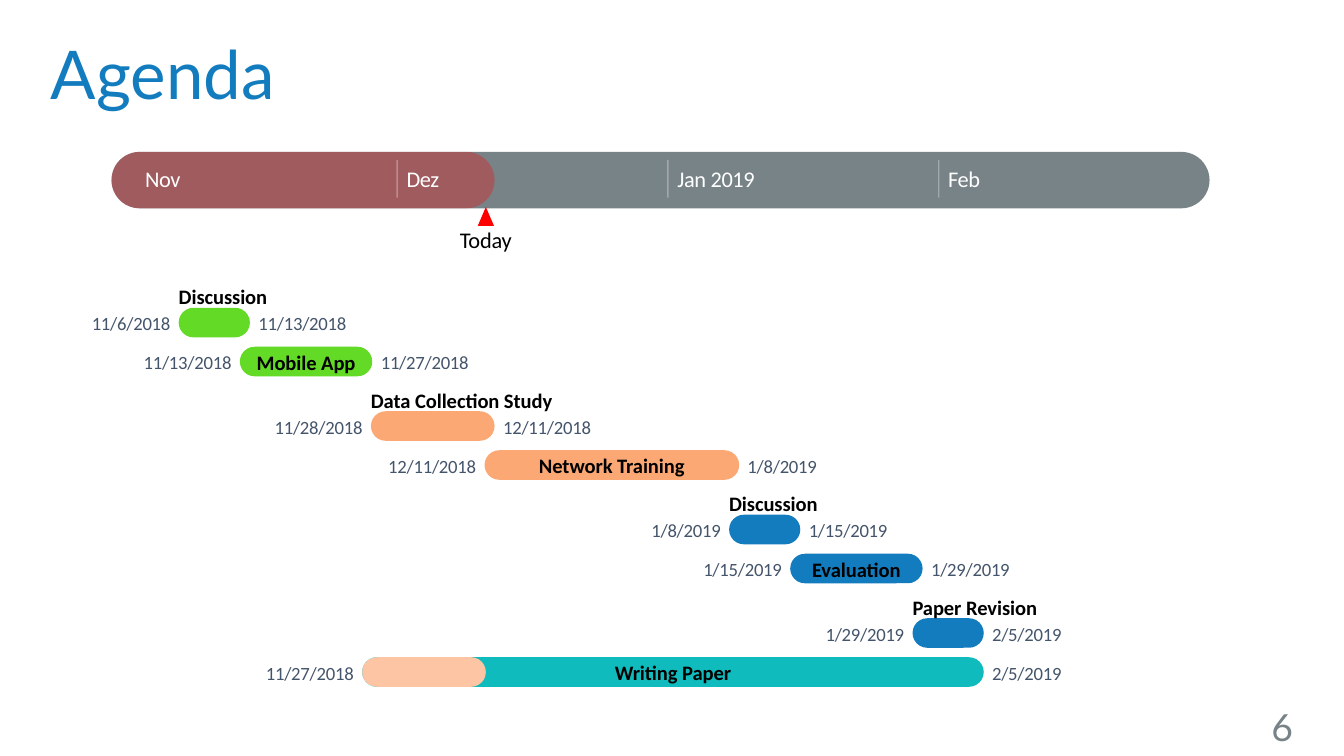
from lxml import etree
from pptx import Presentation
from pptx import util as u
from pptx.dml.color import RGBColor
from pptx.enum import shapes, text
from pptx.oxml.ns import qn

C = {"blue": "137CBE", "grey": "788388", "red": "FF0000", "white": "FFFFFF",
     "black": "000000", "date": "44546A", "green": "62DA26",
     "orange": "FBA875", "teal": "10BBBE", "peach": "FDC5A3"}
ALIGN = text.PP_ALIGN
PILL = shapes.MSO_SHAPE.ROUNDED_RECTANGLE
DAY = 0.065                 # inches per day
FIRST_X = 1.33              # left edge of 6 November
MONTH_START = {11: -5, 12: 25, 1: 56, 2: 87}
BAR_H, GAP = 0.22, 0.05

# name, name width, start, end, colour
TASKS = [
    ("Discussion", 0.67, "11/6/2018", "11/13/2018", "green"),
    ("Mobile App", 0.81, "11/13/2018", "11/27/2018", "green"),
    ("Data Collection Study", 1.36, "11/28/2018", "12/11/2018", "orange"),
    ("Network Training", 1.1, "12/11/2018", "1/8/2019", "orange"),
    ("Discussion", 0.67, "1/8/2019", "1/15/2019", "blue"),
    ("Evaluation", 0.67, "1/15/2019", "1/29/2019", "blue"),
    ("Paper Revision", 0.94, "1/29/2019", "2/5/2019", "blue"),
    ("Writing Paper", 0.88, "11/27/2018", "2/5/2019", "teal"),
]


def date_x(date):
    """Horizontal position of the start of a month/day/year date."""
    month, day = [int(n) for n in date.split("/")[:2]]
    return FIRST_X + DAY * (MONTH_START[month] + day - 1)


def set_alpha(fill_parent, percent):
    """Make the solid colour below an element partly transparent."""
    clr = next(fill_parent.iter(qn("a:srgbClr")))
    etree.SubElement(clr, qn("a:alpha")).set("val", str(percent * 1000))


def add_shape(s, kind, x, y, w, h, color, alpha=None):
    """Add a filled shape without outline; pills get fully round ends."""
    sp = s.shapes.add_shape(kind, *map(u.Inches, (x, y, w, h)))
    sp.shadow.inherit = False
    sp.fill.solid()
    sp.fill.fore_color.rgb = RGBColor.from_string(C[color])
    sp.line.fill.background()
    if kind == PILL:
        sp.adjustments[0] = 0.5
    if alpha:
        set_alpha(sp._element.spPr, alpha)


def add_text(s, txt, x, y, w, h, size, color, align=ALIGN.LEFT, font="Calibri",
             bold=False, wrap=True, inset=False, anchor=text.MSO_ANCHOR.MIDDLE,
             spacing=0):
    """Add a one-line text box; spacing is in hundredths of a point."""
    tf = s.shapes.add_textbox(*map(u.Inches, (x, y, w, h))).text_frame
    tf.word_wrap = wrap
    tf.vertical_anchor = anchor
    if not inset:
        tf.margin_left = tf.margin_right = tf.margin_top = tf.margin_bottom = 0
    p = tf.paragraphs[0]
    p.alignment = align
    r = p.add_run()
    r.text = txt
    p.font.size, p.font.name, p.font.bold = u.Pt(size), font, bold
    p.font.color.rgb = RGBColor.from_string(C[color])
    if spacing:
        r._r.get_or_add_rPr().set("spc", str(spacing))


def add_divider(s, x):
    """Add a faint month divider on the time band."""
    ln = s.shapes.add_connector(shapes.MSO_CONNECTOR.STRAIGHT, u.Inches(x),
                                u.Inches(1.19), u.Inches(x), u.Inches(1.47))
    ln.line.width = u.Pt(0.75)
    ln.line.color.rgb = RGBColor.from_string(C["white"])
    set_alpha(ln._element.spPr, 30)
    etree.SubElement(ln._element.spPr, qn("a:effectLst"))


def add_band(s):
    """Add the month band, its elapsed part and the marker for today."""
    add_shape(s, PILL, 0.83, 1.13, 8.17, 0.42, "grey")
    add_shape(s, PILL, 0.83, 1.13, 2.85, 0.42, "red", 30)
    today = date_x("12/11/2018") + 0.01
    add_shape(s, shapes.MSO_SHAPE.ISOSCELES_TRIANGLE, today - 0.06, 1.54,
              0.12, 0.14, "red")
    add_text(s, "Today", today - 0.21, 1.68, 0.42, 0.2, 12, "black",
             ALIGN.CENTER, spacing=-10)
    months = [("Nov", 1.01, 0.27), ("Dez", date_x("12/1/2018"), 0.25),
              ("Jan 2019", date_x("1/1/2019"), 0.62),
              ("Feb", date_x("2/1/2019"), 0.24)]
    for i, (name, x, w) in enumerate(months):
        if i:
            add_divider(s, x)
        add_text(s, name, x + 0.07, 1.23, w, 0.2, 12, "white", wrap=False,
                 spacing=-20)


def add_date(s, date, y, left=None, right=None):
    """Add a date that starts at left or ends at right."""
    w = 0.07 * len(date) - 0.02
    x = left if left is not None else right - w
    add_text(s, date, x, y, w, 0.17, 10, "date", ALIGN.CENTER, spacing=-10)


def add_task(s, i, name, name_w, start, end, color):
    """Add a task bar with dates; names alternate above and inside."""
    y = 2.29 + 0.77 * (i // 2) + 0.29 * (i % 2)
    x, x_end = date_x(start), date_x(end) + DAY + 0.01
    add_shape(s, PILL, x, y, x_end - x, BAR_H, color)
    add_date(s, start, y + 0.03, right=x - GAP)
    add_date(s, end, y + 0.03, left=x_end + GAP)
    if i % 2:
        name_x, name_y, align = (x + x_end - name_w) / 2, y + 0.02, ALIGN.CENTER
    else:
        name_x, name_y, align = x, y - 0.18, ALIGN.LEFT
    add_text(s, name, name_x, name_y, name_w, 0.19, 11, "black", align,
             bold=True, wrap=False, spacing=-5)


def main():
    """Build the agenda slide."""
    prs = Presentation()
    prs.slide_width, prs.slide_height = u.Inches(10), u.Inches(10 * 9 / 16)
    s = prs.slides.add_slide(prs.slide_layouts[6])
    add_band(s)
    for i, task in enumerate(TASKS):
        add_task(s, i, *task)
    add_text(s, "6", 6.76, 5.23, 2.96, 0.35, 20, "grey", ALIGN.RIGHT, "Lato",
             inset=True)
    add_text(s, "Agenda", 0.28, 0.19, 9.45, 0.9, 36, "blue", font="Lato",
             inset=True, anchor=text.MSO_ANCHOR.TOP)
    add_shape(s, PILL, date_x("11/27/2018"), 4.89, 0.92, BAR_H, "peach")
    prs.save("out.pptx")


main()
